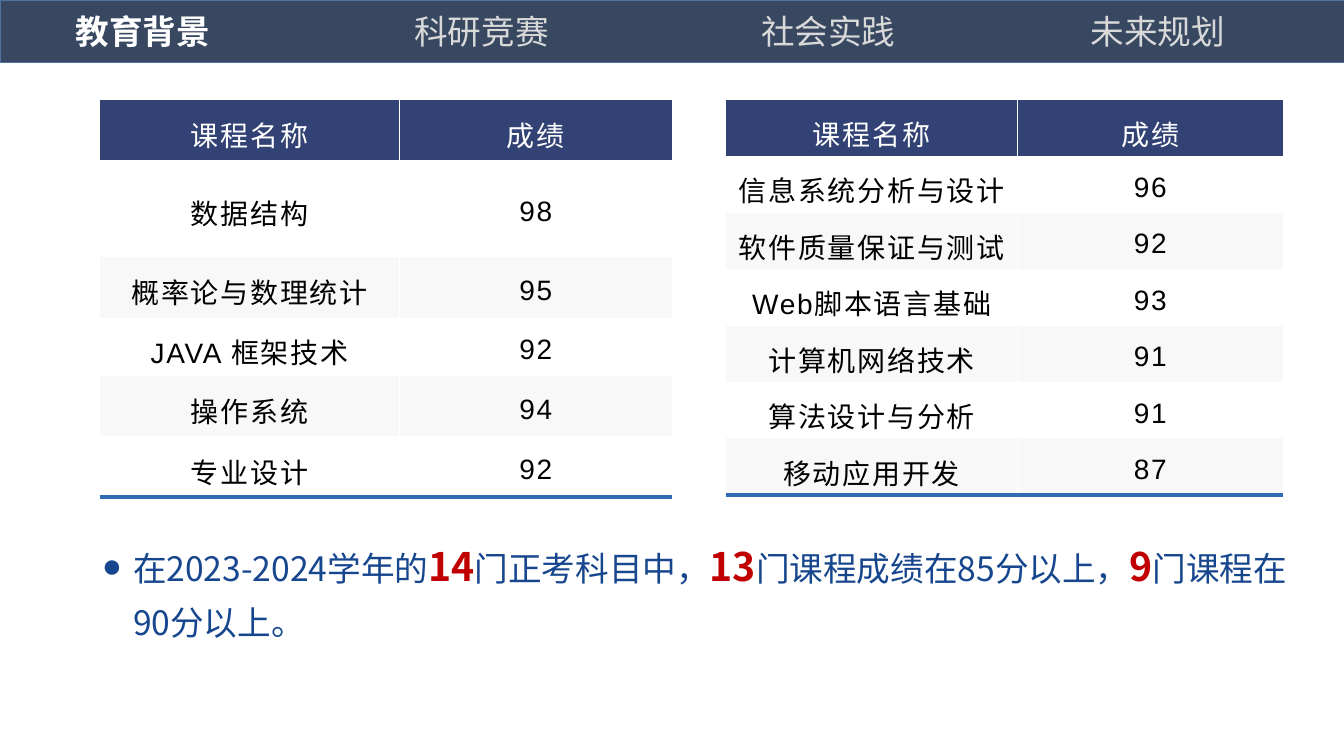
from lxml import etree
from pptx import Presentation
from pptx.dml.color import RGBColor
from pptx.enum.shapes import MSO_SHAPE as Shape
from pptx.enum.text import MSO_ANCHOR as Anchor, MSO_AUTO_SIZE as Auto, PP_ALIGN as Align
from pptx.oxml.ns import qn
from pptx.util import Inches, Pt

TABS = [("教育背景", 0.65), ("科研竞赛", 4.01), ("社会实践", 7.45), ("未来规划", 10.72)]
HEAD = ("课程名称", "成绩")
TABLES = [
    dict(left=0.99, cols=(2.97, 2.71), rows=(0.6, 0.96, 0.6, 0.58, 0.6, 0.6),
         data=[("数据结构", "98"), ("概率论与数理统计", "95"), ("JAVA 框架技术", "92"),
               ("操作系统", "94"), ("专业设计", "92")]),
    dict(left=7.2, cols=(2.89, 2.64), rows=(0.56,) * 7,
         data=[("信息系统分析与设计", "96"), ("软件质量保证与测试", "92"),
               ("Web脚本语言基础", "93"), ("计算机网络技术", "91"),
               ("算法设计与分析", "91"), ("移动应用开发", "87")]),
]
SUMMARY = ["在2023-2024学年的", "14", "门正考科目中，", "13",
           "门课程成绩在85分以上，", "9", "门课程在90分以上。"]
TABLE_TOP = 0.99
HAN = "Noto Sans CJK SC"
NO_STYLE = "{2D5ABB26-0587-4C30-8999-92F81FD0307C}"


def color(text):
    return RGBColor.from_string(text)


def write(para, text, size=24, ink="000000", bold=False, font="Arial", gap=0):
    run = para.add_run()
    run.text = text
    run.font.size, run.font.bold, run.font.name = Pt(size), bold, font
    run.font.color.rgb = color(ink)
    props = run.font._element
    etree.SubElement(props, qn("a:ea"), typeface=HAN)
    if gap:
        props.set("spc", str(int(gap * 100)))


def place(box, left, top, width, height):
    box.left, box.top = Inches(left), Inches(top)
    box.width, box.height = Inches(width), Inches(height)
    frame = box.text_frame
    frame.word_wrap, frame.auto_size = True, Auto.SHAPE_TO_FIT_TEXT
    frame.vertical_anchor = Anchor.TOP
    return frame.paragraphs[0]


def border(cell, sides):
    """Put lines before the cell fill; sides holds (tag, colour, points)."""
    props = cell._tc.get_or_add_tcPr()
    for spot, (tag, ink, width) in enumerate(sides):
        line = etree.Element(qn(tag), w=str(Pt(width)))
        fill = etree.SubElement(line, qn("a:solidFill"))
        etree.SubElement(fill, qn("a:srgbClr"), val=ink)
        props.insert(spot, line)


def add_grades(slide, left, cols, rows, data):
    frame = slide.shapes.add_table(len(rows), len(cols), Inches(left), Inches(TABLE_TOP),
                                   Inches(sum(cols)), Inches(sum(rows)))
    table = frame.table
    table.horz_banding = False
    table._tbl.tblPr.find(qn("a:tableStyleId")).text = NO_STYLE
    for col, width in zip(table.columns, cols):
        col.width = Inches(width)
    for r, (height, values) in enumerate(zip(rows, [HEAD] + data)):
        table.rows[r].height = Inches(height)
        back = "324274" if r == 0 else ("F8F8F8", "FFFFFF")[r % 2]
        for c, value in enumerate(values):
            cell = table.cell(r, c)
            cell.vertical_anchor = Anchor.MIDDLE
            cell.fill.solid()
            cell.fill.fore_color.rgb = color(back)
            sides = [("a:lnL" if c else "a:lnR", "FFFFFF", 1)]
            if r == len(data):
                sides.append(("a:lnB", "2E6CB5", 3))
            border(cell, sides)
            para = cell.text_frame.paragraphs[0]
            para.alignment, para.line_spacing = Align.CENTER, 1.2
            write(para, value, size=20, ink="000000" if r else "FFFFFF", gap=1.2)


def add_tabs(slide):
    bar = slide.shapes.add_shape(Shape.RECTANGLE, 0, 0, Inches(13.34), Inches(0.62))
    bar.shadow.inherit = False
    bar.fill.solid()
    bar.fill.fore_color.rgb = color("384861")
    bar.line.color.rgb, bar.line.width = color("5273A0"), Pt(1)
    slide.shapes._spTree.insert(2, bar._element)
    for i, (name, left) in enumerate(TABS):
        box = slide.shapes.add_textbox(0, 0, 0, 0) if i else slide.shapes.title
        para = place(box, left, 0.06, 1.69, 0.54)
        para.alignment = Align.LEFT
        write(para, name, ink="D9D9D9" if i else "FFFFFF", bold=i == 0)


def add_summary(slide):
    para = place(slide.placeholders[1], 0.91, 5.19, 12.16, 1.24)
    para.line_spacing, para.space_before = 1.3, Pt(0)
    props = para._p.get_or_add_pPr()
    props.set("marL", str(Inches(0.31)))
    props.set("indent", str(-Inches(0.31)))
    etree.SubElement(props, qn("a:buFont"), typeface="Arial")
    etree.SubElement(props, qn("a:buChar"), char="●")
    for i, text in enumerate(SUMMARY):
        key = i % 2 == 1
        write(para, text, size=28 if key else 24, bold=key, font=HAN,
              ink="C00000" if key else "16468D")


def main():
    deck = Presentation()
    deck.slide_width, deck.slide_height = Inches(13.33), Inches(7.5)
    slide = deck.slides.add_slide(deck.slide_layouts[1])
    add_tabs(slide)
    for grades in TABLES:
        add_grades(slide, **grades)
    add_summary(slide)
    deck.save("out.pptx")


if __name__ == "__main__":
    main()
